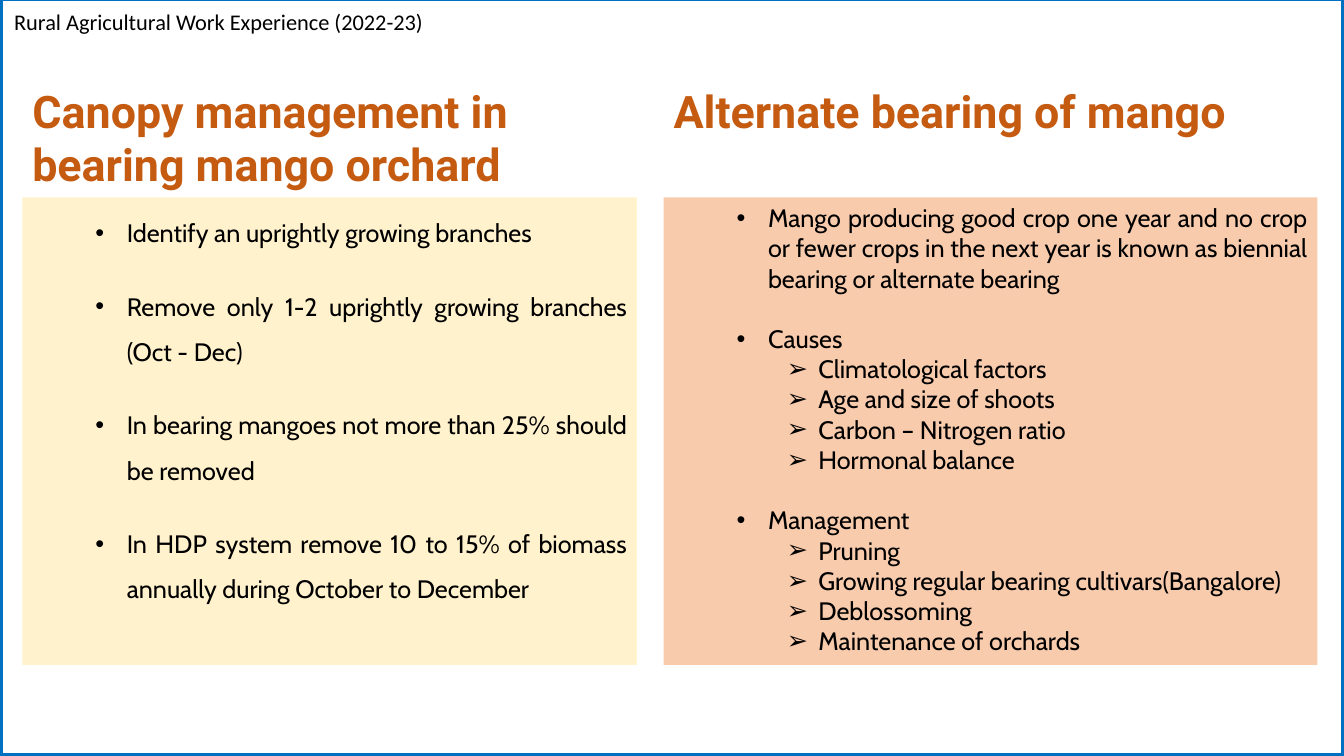
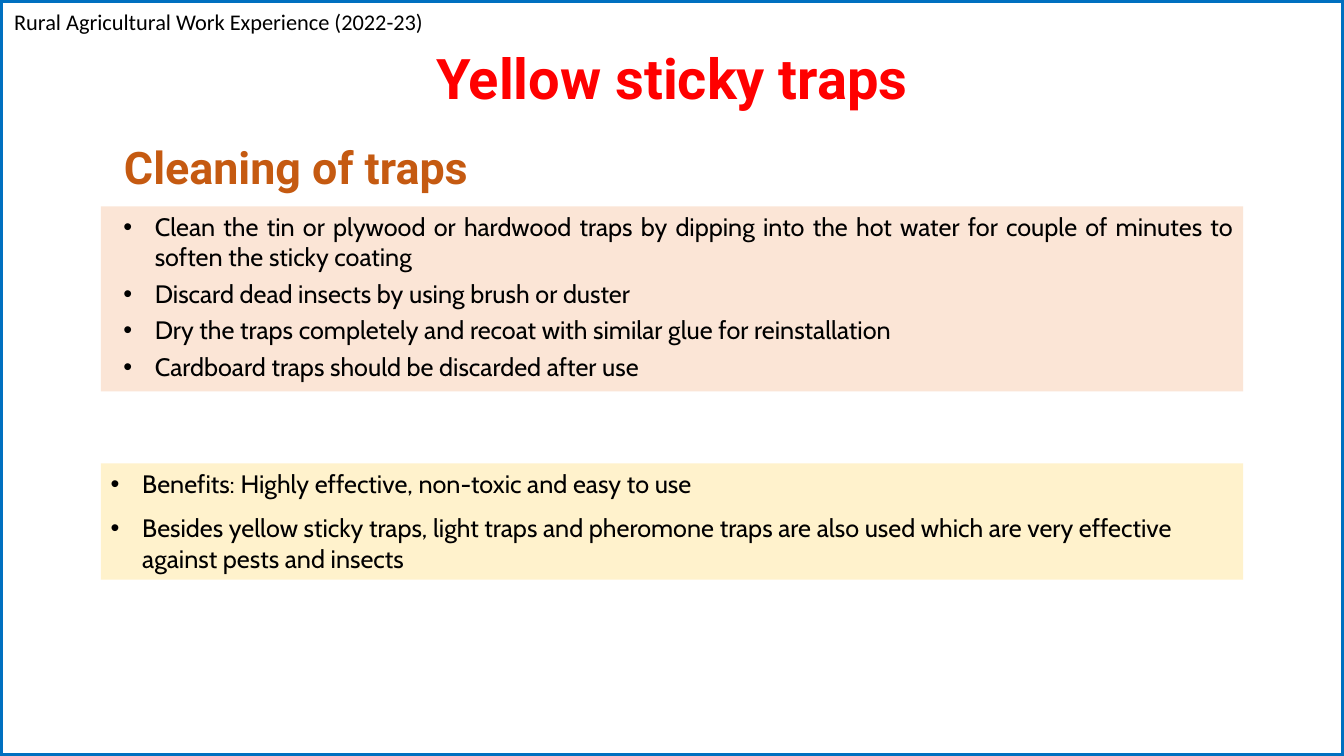
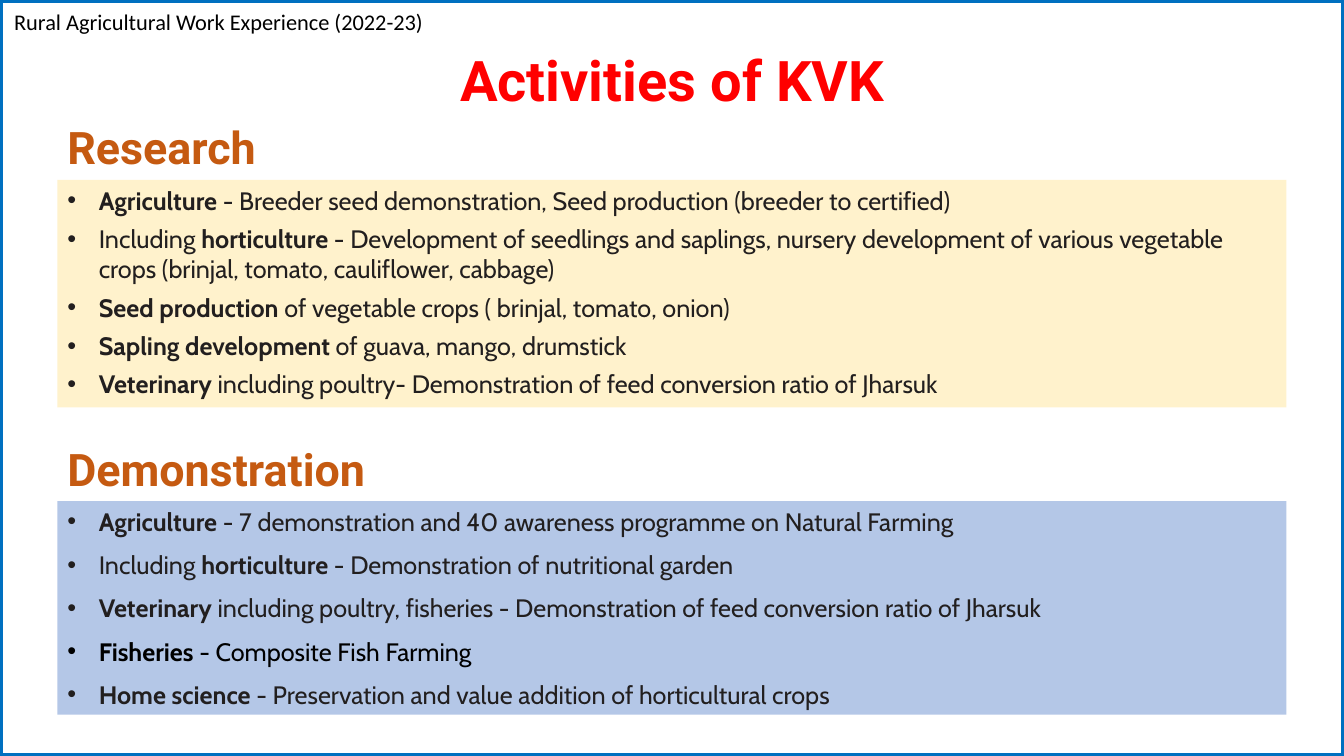
from lxml import etree
from pptx import Presentation
from pptx.dml.color import RGBColor
from pptx.enum import shapes, text
from pptx.oxml.ns import qn
from pptx.util import Pt

WIDE, HIGH = 960, 540
HUES = {"edge": "0070C0", "red": "FF0000", "rust": "C55A11", "black": "000000",
        "ink": "221F1F", "cream": "FFF2CC", "peach": "F8CBAD", "blush": "FBE5D6",
        "blue": "B4C7E7"}
FONTS = {
    "head": {"name": "Calibri", "size": 16, "hue": "black"},
    "title": {"name": "Roboto", "size": 40, "hue": "red", "bold": True},
    "topic": {"name": "Roboto", "size": 32, "hue": "rust", "bold": True},
    "body": {"name": "Cabin", "size": 18, "hue": "black"},
    "ink": {"name": "Cabin", "size": 18, "hue": "ink"},
}
HANG = 22.5
SUB_STEP = 36
LEFT, JUST, MID = text.PP_ALIGN.LEFT, text.PP_ALIGN.JUSTIFY, text.PP_ALIGN.CENTER
HEAD = "Rural Agricultural Work Experience (2022-23)"

# Asterisks enclose bold words; a leading ">" marks a second-level item and
# a leading "^" an item in black. "gap" is the space before a new group.
SLIDES = [
    {"top": -1.5, "topics": [
        ("Alternate bearing of mango", (474, 56, 459, 85)),
        ("Canopy management in bearing mango orchard", (16, 56, 439, 85))],
     "panels": [
        {"at": (16, 141, 439, 334), "fill": "cream", "indent": 67.5, "align": JUST,
         "space": {"line_spacing": 1.5, "space_after": Pt(20)}, "items": [
             "Identify an uprightly growing branches",
             "Remove only 1-2 uprightly growing branches (Oct - Dec)",
             "In bearing mangoes not more than 25% should be removed",
             "In HDP system remove 10 to 15% of biomass annually during October to December"]},
        {"at": (474, 141, 467, 334), "fill": "peach", "indent": 67.5, "align": JUST,
         "space": {"space_before": Pt(21.6)}, "items": [
             "Mango producing good crop one year and no crop or fewer crops in the next "
             "year is known as biennial bearing or alternate bearing",
             "Causes",
             ">Climatological factors",
             ">Age and size of shoots",
             ">Carbon – Nitrogen ratio",
             ">Hormonal balance",
             "Management",
             ">Pruning",
             ">Growing regular bearing cultivars(Bangalore)",
             ">Deblossoming",
             ">Maintenance of orchards"]}]},
    {"title": ("Yellow sticky traps", 27.5),
     "topics": [("Cleaning of traps", (81.5, 96, 354, 46))],
     "panels": [
        {"at": (72, 147.5, 816, 132), "fill": "blush", "indent": 31.5, "align": JUST,
         "space": {"space_before": Pt(4.5)}, "items": [
             "Clean the tin or plywood or hardwood traps by dipping into the hot water "
             "for couple of minutes to soften the sticky coating",
             "Discard dead insects by using brush or duster",
             "Dry the traps completely and recoat with similar glue for reinstallation",
             "Cardboard traps should be discarded after use"]},
        {"at": (72, 331, 816, 83), "fill": "cream",
         "space": {"space_after": Pt(10)}, "items": [
             "Benefits: Highly effective, non-toxic and easy to use",
             "Besides yellow sticky traps, light traps and pheromone traps are also used "
             "which are very effective against pests and insects"]}]},
    {"title": ("Activities of KVK", 29),
     "topics": [("Research", (41, 82, 293, 46)), ("Demonstration", (41, 312, 293, 46))],
     "panels": [
        {"at": (41, 128.5, 878, 162.5), "fill": "cream", "font": "ink",
         "space": {"space_before": Pt(5.8)}, "items": [
             "*Agriculture* - Breeder seed demonstration, Seed production (breeder to certified)",
             "Including *horticulture* - Development of seedlings and saplings, nursery "
             "development of various vegetable crops (brinjal, tomato, cauliflower, cabbage)",
             "*Seed production* of vegetable crops ( brinjal, tomato, onion)",
             "*Sapling development* of guava, mango, drumstick",
             "*Veterinary* including poultry- Demonstration of feed conversion ratio of Jharsuk"]},
        {"at": (41, 358, 878, 152.5), "fill": "blue", "font": "ink",
         "space": {"space_before": Pt(9.3)}, "items": [
             "*Agriculture* - 7 demonstration and 40 awareness programme on Natural Farming",
             "Including *horticulture* - Demonstration of nutritional garden",
             "*Veterinary* including poultry, fisheries - Demonstration of feed conversion "
             "ratio of Jharsuk",
             "^*Fisheries* - Composite Fish Farming",
             "*Home science* - Preservation and value addition of horticultural crops"]}]},
]


def shade(name):
    return RGBColor.from_string(HUES[name])


def style(font, look):
    for key, value in look.items():
        if key == "hue":
            font.color.rgb = shade(value)
        else:
            setattr(font, key, Pt(value) if key == "size" else value)


def add_box(slide, at):
    box = slide.shapes.add_textbox(*map(Pt, at))
    box.text_frame.word_wrap = True
    return box


def add_label(slide, words, at, look, align=LEFT):
    para = add_box(slide, at).text_frame.paragraphs[0]
    para.alignment = align
    run = para.add_run()
    run.text = words
    style(run.font, FONTS[look])


def add_bullet(para, mark, indent):
    props = para._p.get_or_add_pPr()
    props.set("marL", str(Pt(indent)))
    props.set("indent", str(-Pt(HANG)))
    etree.SubElement(props, qn("a:buFont")).set("typeface", "Arial")
    etree.SubElement(props, qn("a:buChar")).set("char", mark)


def add_panel(slide, panel):
    box = add_box(slide, panel["at"])
    box.fill.solid()
    box.fill.fore_color.rgb = shade(panel["fill"])
    frame = box.text_frame
    for i, item in enumerate(panel["items"]):
        para = frame.add_paragraph() if i else frame.paragraphs[0]
        sub, dark = item[0] == ">", item[0] == "^"
        para.level = int(sub)
        para.alignment = panel.get("align", LEFT)
        add_bullet(para, "➢" if sub else "•", panel.get("indent", HANG) + SUB_STEP * sub)
        for key, value in panel["space"].items():
            if not (key == "space_before" and (sub or i == 0)):
                setattr(para, key, value)
        look = FONTS["body" if dark else panel.get("font", "body")]
        for n, part in enumerate(item.lstrip(">^").split("*")):
            if part:
                run = para.add_run()
                run.text = part
                style(run.font, {**look, "bold": n % 2 == 1})


def add_base(slide, top):
    """Draw the border and the running head that every slide has."""
    edge = slide.shapes.add_shape(shapes.MSO_SHAPE.RECTANGLE,
                                  *map(Pt, (0, top, WIDE, HIGH - top)))
    edge.shadow.inherit = False
    edge.fill.background()
    edge.line.color.rgb = shade("edge")
    edge.line.width = Pt(4.5)
    add_label(slide, HEAD, (3, 2, 320, 27), "head")


def main():
    deck = Presentation()
    deck.slide_width, deck.slide_height = Pt(WIDE), Pt(HIGH)
    for page in SLIDES:
        slide = deck.slides.add_slide(deck.slide_layouts[6])
        add_base(slide, page.get("top", 0))
        if "title" in page:
            words, top = page["title"]
            add_label(slide, words, (17.5, top, WIDE - 35, 55), "title", MID)
        for panel in page["panels"]:
            add_panel(slide, panel)
        for words, at in page["topics"]:
            add_label(slide, words, at, "topic")
    deck.save("out.pptx")


if __name__ == "__main__":
    main()
